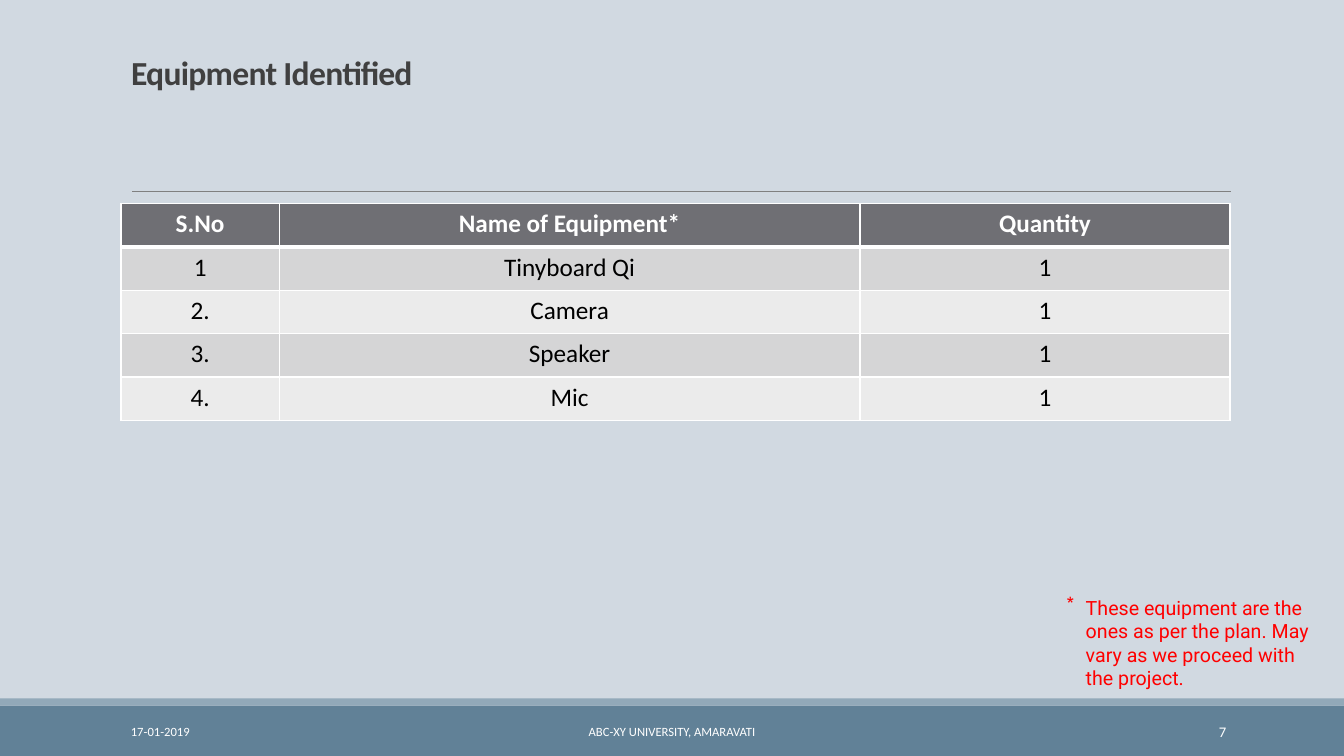
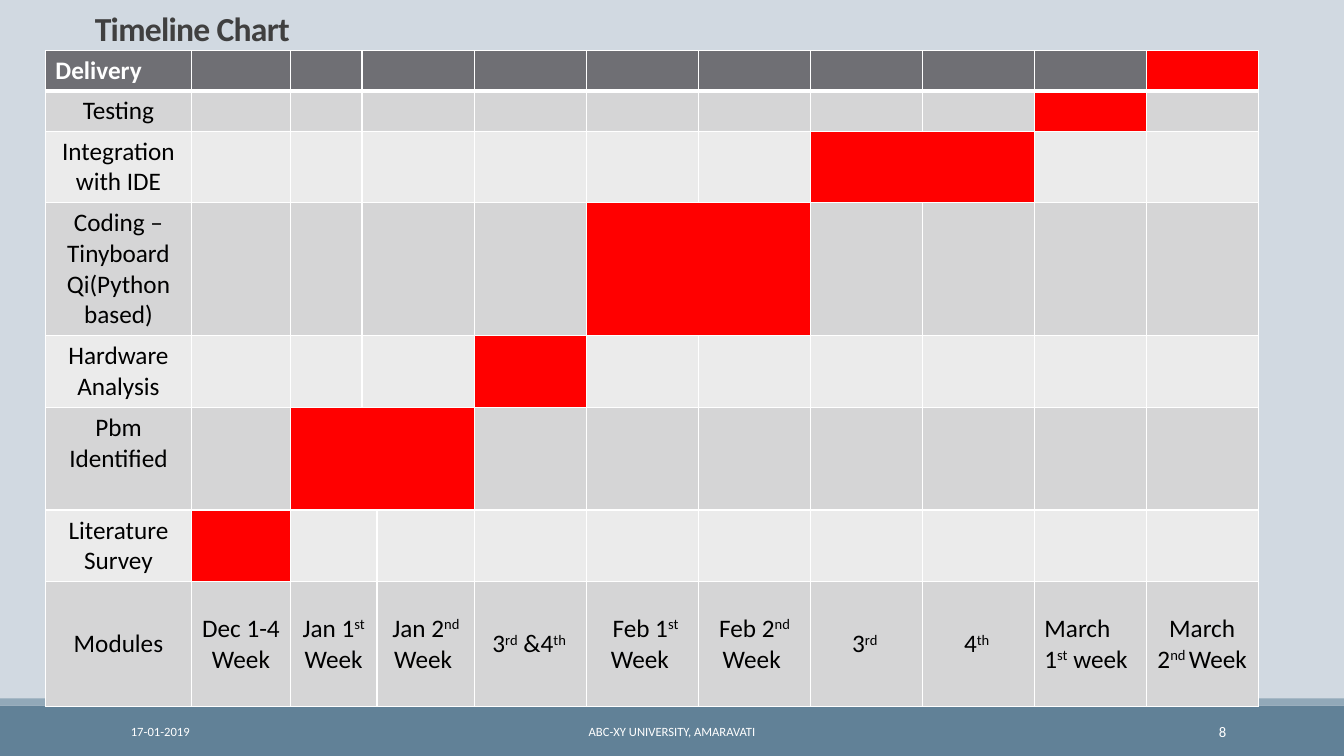
from lxml import etree
from pptx import Presentation
from pptx.dml.color import RGBColor
from pptx.enum import shapes, text
from pptx.oxml import ns
from pptx.util import Inches, Pt

COLORS = {
    "page": "D1D9E1", "band": "618197", "strip": "92A9B9", "rule": "808080",
    "title": "404040", "white": "FFFFFF", "black": "000000", "red": "FF0000",
    "header": "6F6F74", "dark": "D5D5D6", "light": "EBEBEB",
}
LEFT, CENTER, RIGHT = text.PP_ALIGN.LEFT, text.PP_ALIGN.CENTER, text.PP_ALIGN.RIGHT
TOP, MIDDLE, BOTTOM = (text.MSO_ANCHOR.TOP, text.MSO_ANCHOR.MIDDLE,
                       text.MSO_ANCHOR.BOTTOM)

# Text styles
TITLE = {"name": "Calibri", "size": Pt(24), "bold": True, "color": "title"}
HEAD = {"name": "Calibri", "size": Pt(18), "bold": True, "color": "white"}
BODY = {"name": "Calibri", "size": Pt(18), "bold": False, "color": "black"}
FOOT = {"name": "Calibri", "size": Pt(9), "color": "white"}
NUMBER = {**FOOT, "size": Pt(10.5)}
NOTE = {"name": "Roboto", "size": Pt(14), "color": "red"}

# Content; text between carets is superscript
DATE, OWNER = "17-01-2019", "ABC-XY UNIVERSITY, AMARAVATI"
EQUIPMENT = [
    ("S.No", "Name of Equipment*", "Quantity"),
    ("1", "Tinyboard Qi", "1"),
    ("2.", "Camera", "1"),
    ("3.", "Speaker", "1"),
    ("4.", "Mic", "1"),
]
EQUIPMENT_COLS = [1.57, 5.76, 3.67]
EQUIPMENT_NOTE = ("These equipment are the ones as per the plan. "
                  "May vary as we proceed with the project.")

# Module, row height, first and last column of its bar
MODULES = [
    ("Delivery", 0.4, 11, 11),
    ("Testing", 0.4, 10, 10),
    ("Integration with IDE", 0.71, 8, 9),
    ("Coding – Tinyboard Qi(Python based)", 1.32, 6, 7),
    ("Hardware Analysis", 0.71, 5, 5),
    ("Pbm Identified", 1.02, 2, 4),
    ("Literature Survey", 0.71, 1, 1),
]
# Period labels by column
PERIODS = {
    0: "Modules", 1: "Dec 1-4 Week", 2: "Jan 1^st^ Week", 4: "Jan 2^nd^ Week ",
    5: "3^rd^ &4^th ^", 6: " Feb 1^st^ Week ", 7: "Feb 2^nd^ Week ",
    8: "3^rd ^", 9: "4^th ^", 10: "March 1^st^ week", 11: "March 2^nd ^Week",
}
PERIOD_HEIGHT = 1.24
TIMELINE_COLS = [1.45, 0.98, 0.71, 0.15, 0.97] + [1.11] * 7


def color(name):
    return RGBColor.from_string(COLORS[name])


def write(frame, words, style, align=LEFT):
    """Fill the first paragraph, raising the parts between carets."""
    para = frame.paragraphs[0]
    para.alignment = align
    for index, part in enumerate(words.split("^")):
        if not part:
            continue
        span = para.add_run()
        span.text = part
        for key, value in style.items():
            if key == "color":
                span.font.color.rgb = color(value)
            else:
                setattr(span.font, key, value)
        if index % 2:
            span._r.get_or_add_rPr().set("baseline", "30000")
    return para


def add_text(page, at, words, style, align=LEFT, anchor=MIDDLE):
    box = page.shapes.add_textbox(*map(Inches, at))
    box.text_frame.word_wrap = True
    box.text_frame.vertical_anchor = anchor
    return write(box.text_frame, words, style, align)


def add_page(deck, title, at, number):
    """Title, bands, rule and footer shared by all slides."""
    page = deck.slides.add_slide(deck.slide_layouts[5])
    for top, height, fill in ((7, 0.5, "band"), (6.93, 0.07, "strip")):
        band = page.shapes.add_shape(shapes.MSO_SHAPE.RECTANGLE, 0, Inches(top),
                                     deck.slide_width, Inches(height))
        band.shadow.inherit = False
        band.fill.solid()
        band.fill.fore_color.rgb = color(fill)
        band.line.fill.background()
    rule = page.shapes.add_connector(shapes.MSO_CONNECTOR.STRAIGHT, Inches(1.31),
                                     Inches(1.9), Inches(12.21), Inches(1.9))
    rule.line.color.rgb = color("rule")
    rule.line.width = Pt(0.5)
    etree.SubElement(rule._element.spPr, ns.qn("a:effectLst"))

    heading = page.shapes.title
    for key, value in zip(("left", "top", "width", "height"), at):
        setattr(heading, key, Inches(value))
    frame = heading.text_frame
    frame.auto_size = text.MSO_AUTO_SIZE.NONE
    frame.vertical_anchor = BOTTOM
    para = write(frame, title, TITLE)
    para.line_spacing = 0.85
    para.runs[0]._r.get_or_add_rPr().set("spc", "-50")

    for left, width, words, style, align in (
            (1.2, 2.7, DATE, FOOT, LEFT),
            (4.03, 5.27, OWNER, FOOT, CENTER),
            (10.83, 1.43, str(number), NUMBER, RIGHT)):
        add_text(page, (left, 7.06, width, 0.4), words, style, align)
    return page


def set_borders(cell, row):
    props = cell._tc.get_or_add_tcPr()
    thick = {"T": row == 1, "B": row == 0}
    for side in "LRTB":
        width = Pt(3 if thick.get(side) else 1)
        line = etree.SubElement(props, ns.qn("a:ln" + side), w=str(width))
        solid = etree.SubElement(line, ns.qn("a:solidFill"))
        etree.SubElement(solid, ns.qn("a:srgbClr"), val=COLORS["white"])


def add_grid(page, left, top, cols, rows):
    """Table with a dark header, banded rows and white borders."""
    grid = page.shapes.add_table(len(rows), len(cols), Inches(left), Inches(top),
                                 Inches(sum(cols)), Inches(sum(rows))).table
    for column, width in zip(grid.columns, cols):
        column.width = Inches(width)
    for index, (row, height) in enumerate(zip(grid.rows, rows)):
        row.height = Inches(height)
        fill = "header" if index == 0 else ("light", "dark")[index % 2]
        for cell in row.cells:
            set_borders(cell, index)
            paint(cell, fill)
    return grid


def paint(cell, fill):
    cell.fill.solid()
    cell.fill.fore_color.rgb = color(fill)


def build_equipment(deck):
    page = add_page(deck, "Equipment Identified", (1.2, 0.31, 11, 0.66), 7)
    grid = add_grid(page, 1.2, 2.02, EQUIPMENT_COLS, [0.43] * len(EQUIPMENT))
    for row, values in enumerate(EQUIPMENT):
        for col, words in enumerate(values):
            write(grid.cell(row, col).text_frame, words, BODY if row else HEAD, CENTER)

    # Footnote with a hanging asterisk
    para = add_text(page, (10.48, 5.86, 2.65, 1.04), EQUIPMENT_NOTE, NOTE, anchor=TOP)
    props = para._p.get_or_add_pPr()
    props.set("marL", str(Inches(0.19)))
    props.set("indent", str(-Inches(0.19)))
    etree.SubElement(props, ns.qn("a:buChar"), char="*")


def build_timeline(deck):
    page = add_page(deck, "Timeline Chart", (0.84, -0.2, 11, 0.73), 8)
    heights = [module[1] for module in MODULES] + [PERIOD_HEIGHT]
    grid = add_grid(page, 0.45, 0.5, TIMELINE_COLS, heights)

    # Modules and their bars
    for row, (name, _, first, last) in enumerate(MODULES):
        cell = grid.cell(row, 0)
        cell.vertical_anchor = TOP if name in ("Delivery", "Pbm Identified") else MIDDLE
        write(cell.text_frame, name, BODY if row else HEAD, CENTER if row else LEFT)
        for col in range(first, last + 1):
            paint(grid.cell(row, col), "red")
        if last > first:
            grid.cell(row, first).merge(grid.cell(row, last))

    # The narrow column joins its right neighbour above, its left one below
    for row in range(len(heights)):
        if not grid.cell(row, 3).is_spanned:
            start = 3 if row < 5 else 2
            grid.cell(row, start).merge(grid.cell(row, start + 1))

    # Periods
    for col, words in PERIODS.items():
        cell = grid.cell(len(MODULES), col)
        cell.vertical_anchor = MIDDLE
        write(cell.text_frame, words, BODY, LEFT if col == 10 else CENTER)


def main():
    deck = Presentation()
    deck.slide_width, deck.slide_height = Inches(13.33), Inches(7.5)
    backdrop = deck.slide_master.background.fill
    backdrop.solid()
    backdrop.fore_color.rgb = color("page")
    build_equipment(deck)
    build_timeline(deck)
    deck.save("out.pptx")


if __name__ == "__main__":
    main()
